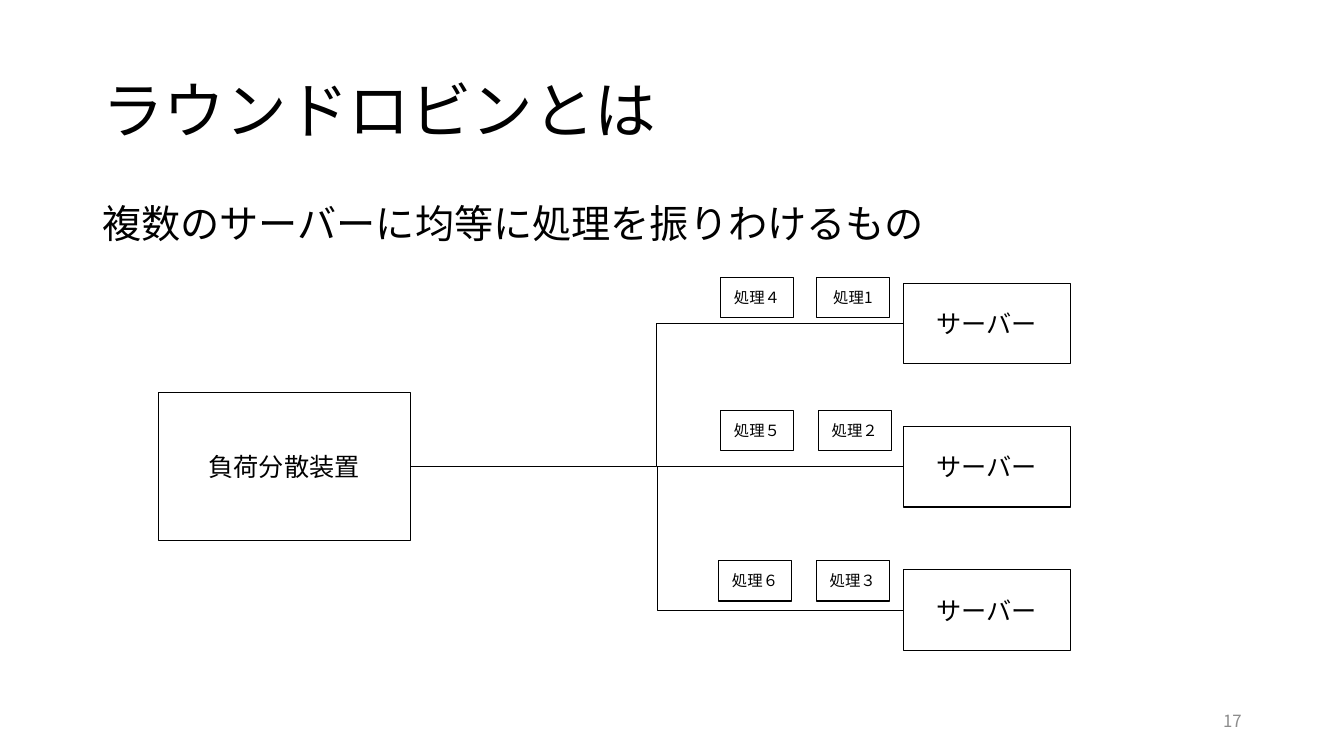
"""Build the slide that explains round-robin load balancing."""
import lxml.etree
import pptx
import pptx.dml.color
import pptx.enum.shapes
import pptx.enum.text
import pptx.oxml.ns
import pptx.util

Pt = pptx.util.Pt
qn = pptx.oxml.ns.qn
ALIGN = pptx.enum.text.PP_ALIGN
ANCHOR = pptx.enum.text.MSO_ANCHOR
CONNECTOR = pptx.enum.shapes.MSO_CONNECTOR
BLACK = pptx.dml.color.RGBColor(0, 0, 0)
GRAY = pptx.dml.color.RGBColor(0x8C, 0x8C, 0x8C)
FONT = "Noto Sans CJK JP"

TITLE = "ラウンドロビンとは"
SUMMARY = "複数のサーバーに均等に処理を振りわけるもの"
PAGE_NUMBER = "17"
BALANCER = "負荷分散装置"
SERVER = "サーバー"
TASK_ROWS = [
    (198, [("処理1", 583.2), ("処理４", 514.8)]),
    (293, [("処理２", 584.6), ("処理５", 514.8)]),
    (400.3, [("処理３", 583.2), ("処理６", 513.4)]),
]

MIDDLE = 333.4
BALANCER_LEFT, BALANCER_WIDTH, BALANCER_HEIGHT = 113, 180, 105.4
SERVER_LEFT, SERVER_WIDTH, SERVER_HEIGHT = 645.1, 119.6, 57.6
SERVER_PITCH = 102.3
TASK_WIDTH, TASK_HEIGHT = 52, 29
BRANCH_X = (BALANCER_LEFT + BALANCER_WIDTH + SERVER_LEFT) / 2


def write(frame, text, size, color=BLACK, align=ALIGN.LEFT, anchor=ANCHOR.MIDDLE):
    frame.word_wrap = True
    frame.vertical_anchor = anchor
    paragraph = frame.paragraphs[0]
    paragraph.alignment = align
    run = paragraph.add_run()
    run.text = text
    run.font.size = Pt(size)
    run.font.name = FONT
    run.font.color.rgb = color
    east_asian = lxml.etree.Element(qn("a:ea"), typeface=FONT)
    run.font._element.find(qn("a:latin")).addnext(east_asian)
    return paragraph


def add_text(slide, box, text, size, **style):
    textbox = slide.shapes.add_textbox(*map(Pt, box))
    return write(textbox.text_frame, text, size, **style)


def add_box(slide, box, text, size):
    rectangle = slide.shapes.add_shape(
        pptx.enum.shapes.MSO_SHAPE.RECTANGLE, *map(Pt, box))
    rectangle.shadow.inherit = False
    rectangle.fill.background()
    rectangle.line.color.rgb = BLACK
    rectangle.line.width = Pt(0.75)
    write(rectangle.text_frame, text, size, align=ALIGN.CENTER)
    return rectangle


def add_link(slide, kind, start_x, server):
    link = slide.shapes.add_connector(
        kind, Pt(start_x), Pt(MIDDLE), Pt(SERVER_LEFT), Pt(MIDDLE))
    link.end_connect(server, 1)
    link.line.color.rgb = BLACK
    link.line.width = Pt(0.5)
    lxml.etree.SubElement(link._element.spPr, qn("a:effectLst"))
    return link


def main():
    deck = pptx.Presentation()
    deck.slide_width, deck.slide_height = Pt(960), Pt(540)
    slide = deck.slides.add_slide(deck.slide_layouts[6])

    title = add_text(slide, (66, 28.8, 828, 104.4), TITLE, 44)
    title.line_spacing = 0.9
    summary = add_text(slide, (66, 142.5, 828, 342.7), SUMMARY, 28, anchor=ANCHOR.TOP)
    summary.line_spacing = 0.9
    summary.space_before = Pt(10)
    add_text(slide, (678, 500.4, 216, 28.8), PAGE_NUMBER, 12,
             color=GRAY, align=ALIGN.RIGHT)

    balancer = add_box(slide, (BALANCER_LEFT, MIDDLE - BALANCER_HEIGHT / 2,
                               BALANCER_WIDTH, BALANCER_HEIGHT), BALANCER, 18)
    servers = [
        add_box(slide, (SERVER_LEFT, MIDDLE + step * SERVER_PITCH - SERVER_HEIGHT / 2,
                        SERVER_WIDTH, SERVER_HEIGHT), SERVER, 18)
        for step in (-1, 0, 1)
    ]

    upper = add_link(slide, CONNECTOR.ELBOW, BRANCH_X, servers[0])
    upper.begin_connect(balancer, 3)
    add_link(slide, CONNECTOR.STRAIGHT, BRANCH_X, servers[1])
    lower = add_link(slide, CONNECTOR.ELBOW, BRANCH_X, servers[2])
    geometry = lower._element.spPr.find(qn("a:prstGeom"))
    lxml.etree.SubElement(geometry.find(qn("a:avLst")), qn("a:gd"),
                          name="adj1", fmla="val 400")

    for top, tasks in TASK_ROWS:
        for task, left in tasks:
            add_box(slide, (left, top, TASK_WIDTH, TASK_HEIGHT), task, 11)

    deck.save("out.pptx")


if __name__ == "__main__":
    main()
